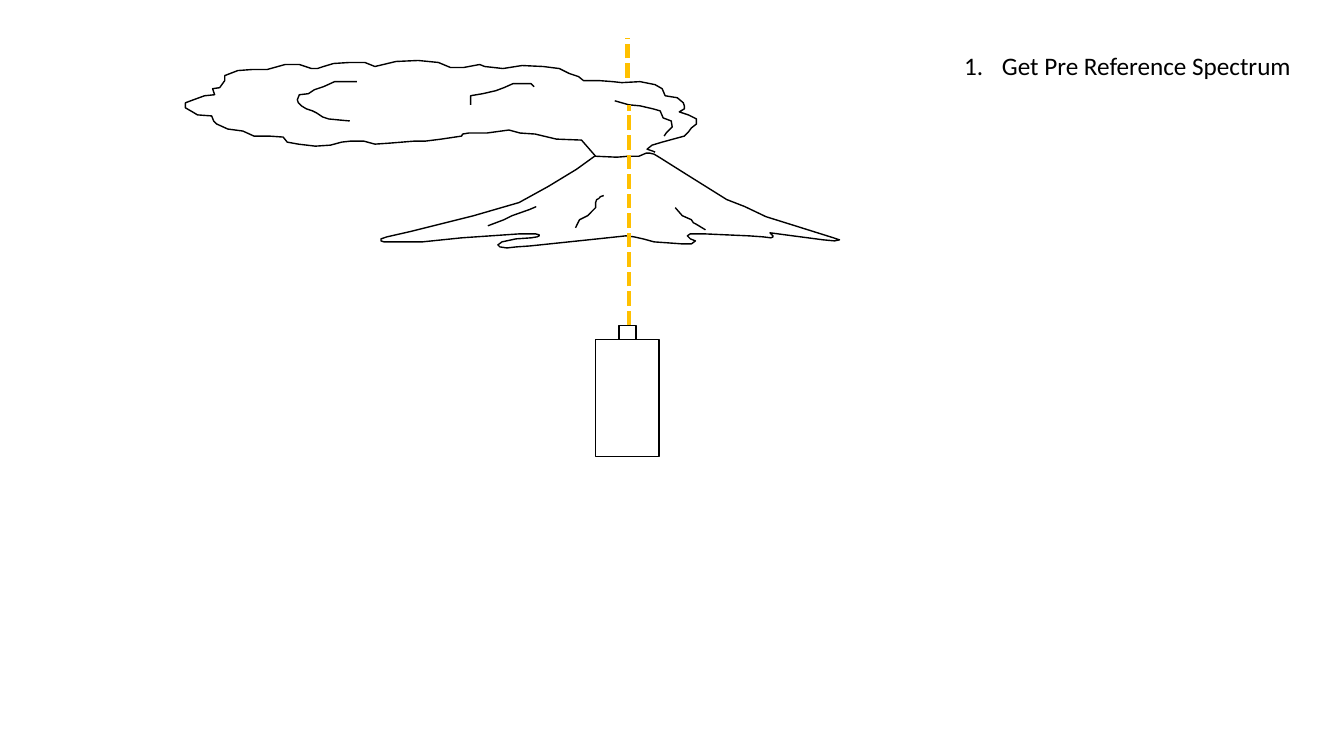
from lxml import etree
from pptx import Presentation
from pptx.dml.color import RGBColor
from pptx.enum import dml, text
from pptx.oxml import ns
from pptx.util import Cm, Pt

BLACK = RGBColor(0x00, 0x00, 0x00)
WHITE = RGBColor(0xFF, 0xFF, 0xFF)
AMBER = RGBColor(0xFF, 0xC0, 0x00)

STEPS = ["Get Pre Reference Spectrum"]
STEPS_BOX = (24.05, 1.14, 8.84, 1.02)

# Outline points are whole numbers of this unit
OUTLINE_UNIT = Cm(0.0254)

MOUNTAIN = [
    (590, 155), (572, 168), (544, 185), (515, 201), (470, 214), (406, 230),
    (384, 235), (378, 237), (378, 239), (381, 240), (391, 240), (419, 240),
    (458, 236), (516, 232), (531, 232), (535, 233), (535, 234), (533, 235),
    (527, 236), (512, 237), (498, 240), (494, 243), (496, 245), (503, 246),
    (512, 245), (526, 244), (593, 237), (621, 234), (629, 235), (638, 237),
    (649, 240), (663, 241), (677, 242), (686, 242), (690, 239), (685, 237),
    (682, 234), (685, 232), (698, 232), (720, 233), (743, 234), (757, 235),
    (765, 236), (767, 235), (767, 234), (764, 231), (779, 233), (817, 238),
    (828, 239), (833, 238), (827, 236), (792, 225), (760, 215), (739, 205),
    (721, 198), (681, 173), (654, 156), (649, 153), (645, 152), (641, 152),
    (634, 155), (624, 155), (612, 156)]
RIDGES = [
    [(484, 224), (500, 218), (508, 214), (525, 208), (532, 205)],
    [(571, 226), (575, 218), (583, 214), (591, 206), (591, 201), (592, 198),
     (594, 197), (596, 195), (599, 194)],
    [(670, 206), (677, 214), (686, 218), (688, 221), (690, 222), (700, 228)]]
PLUME = [
    (591, 155), (577, 139), (552, 138), (531, 133), (516, 132), (505, 129),
    (483, 132), (465, 132), (459, 133), (458, 135), (438, 138), (422, 140),
    (411, 140), (387, 142), (372, 143), (361, 140), (348, 140), (339, 141),
    (328, 144), (313, 145), (296, 143), (285, 141), (281, 136), (267, 135),
    (252, 135), (241, 130), (226, 128), (215, 123), (212, 120), (210, 115),
    (196, 114), (191, 111), (184, 107), (184, 102), (192, 99), (203, 95),
    (213, 94), (211, 88), (218, 87), (223, 80), (223, 75), (236, 70),
    (250, 69), (265, 69), (283, 64), (297, 64), (309, 68), (315, 68),
    (321, 66), (331, 63), (347, 62), (362, 62), (372, 66), (393, 61),
    (415, 60), (435, 62), (447, 67), (460, 67), (476, 64), (481, 66),
    (490, 67), (499, 68), (518, 65), (539, 66), (555, 68), (565, 73),
    (574, 76), (579, 80), (595, 80), (608, 81), (617, 82), (635, 81),
    (650, 84), (657, 88), (660, 95), (672, 97), (678, 102), (679, 105),
    (679, 108), (674, 111), (683, 114), (691, 118), (691, 123), (686, 127),
    (683, 131), (679, 135), (668, 138), (657, 141), (647, 144), (642, 148),
    (648, 150), (650, 151)]
BILLOWS = [
    [(347, 120), (336, 119), (326, 118), (320, 116), (314, 112), (310, 110),
     (304, 108), (299, 105), (296, 102), (295, 99), (297, 94), (306, 93),
     (312, 89), (321, 86), (332, 81), (344, 81), (354, 81)],
    [(467, 104), (467, 95), (479, 93), (492, 90), (500, 87), (509, 83),
     (527, 83), (530, 86)],
    [(610, 100), (624, 104), (635, 105), (648, 108), (655, 110), (658, 117),
     (666, 120), (667, 126), (661, 132), (659, 135)]]

# left, top, width, height in cm
SPECTROMETER = {"body": (15.01, 8.56, 1.6, 2.95),
                "lens": (15.6, 8.2, 0.43, 0.36)}
# x, start y, end y in cm
LIGHT_BEAMS = [(15.85, 8.2, 2.64), (15.82, 1.96, 0.97)]


def draw_outline(group, points, closed=False):
    builder = group.shapes.build_freeform(*points[0], scale=OUTLINE_UNIT)
    builder.add_line_segments(points[1:], close=closed)
    outline = builder.convert_to_shape()
    outline.fill.background()
    ink(outline)


def ink(part):
    part.shadow.inherit = False
    part.line.color.rgb = BLACK
    part.line.width = Pt(1)


def draw_volcano(slide):
    volcano = slide.shapes.add_group_shape()
    draw_outline(volcano, MOUNTAIN, closed=True)
    for stroke in RIDGES + [PLUME] + BILLOWS:
        draw_outline(volcano, stroke)


def draw_spectrometer(slide):
    spectrometer = slide.shapes.add_group_shape()
    for box in SPECTROMETER.values():
        part = spectrometer.shapes.add_shape(1, *map(Cm, box))
        part.fill.solid()
        part.fill.fore_color.rgb = WHITE
        ink(part)


def draw_beams(slide):
    for x, start, end in LIGHT_BEAMS:
        beam = slide.shapes.add_connector(1, Cm(x), Cm(start), Cm(x), Cm(end))
        beam.line.color.rgb = AMBER
        beam.line.width = Pt(3.5)
        beam.line.dash_style = dml.MSO_LINE.SQUARE_DOT
        # python-pptx maps SQUARE_DOT to the "sysDash" or "sysDot" preset
        beam.line._ln.find(ns.qn("a:prstDash")).set("val", "sysDash")
        etree.SubElement(beam._element.spPr, ns.qn("a:effectLst"))


def write_steps(slide):
    frame = slide.shapes.add_textbox(*map(Cm, STEPS_BOX)).text_frame
    frame.word_wrap = True
    frame.auto_size = text.MSO_AUTO_SIZE.SHAPE_TO_FIT_TEXT
    for number, step in enumerate(STEPS):
        line = frame.add_paragraph() if number else frame.paragraphs[0]
        layout = line._p.get_or_add_pPr()
        layout.set("marL", str(Cm(0.95)))
        layout.set("indent", str(-Cm(0.95)))
        etree.SubElement(layout, ns.qn("a:buFont"), typeface="+mj-lt")
        etree.SubElement(layout, ns.qn("a:buAutoNum"), type="arabicPeriod")
        run = line.add_run()
        run.text = step
        run.font.name = "Calibri"
        run.font.size = Pt(18)
        run.font.color.rgb = BLACK


def main():
    deck = Presentation()
    deck.slide_width, deck.slide_height = Cm(33.87), Cm(19.05)
    slide = deck.slides.add_slide(deck.slide_layouts[6])
    draw_volcano(slide)
    draw_spectrometer(slide)
    draw_beams(slide)
    write_steps(slide)
    deck.save("out.pptx")


if __name__ == "__main__":
    main()
